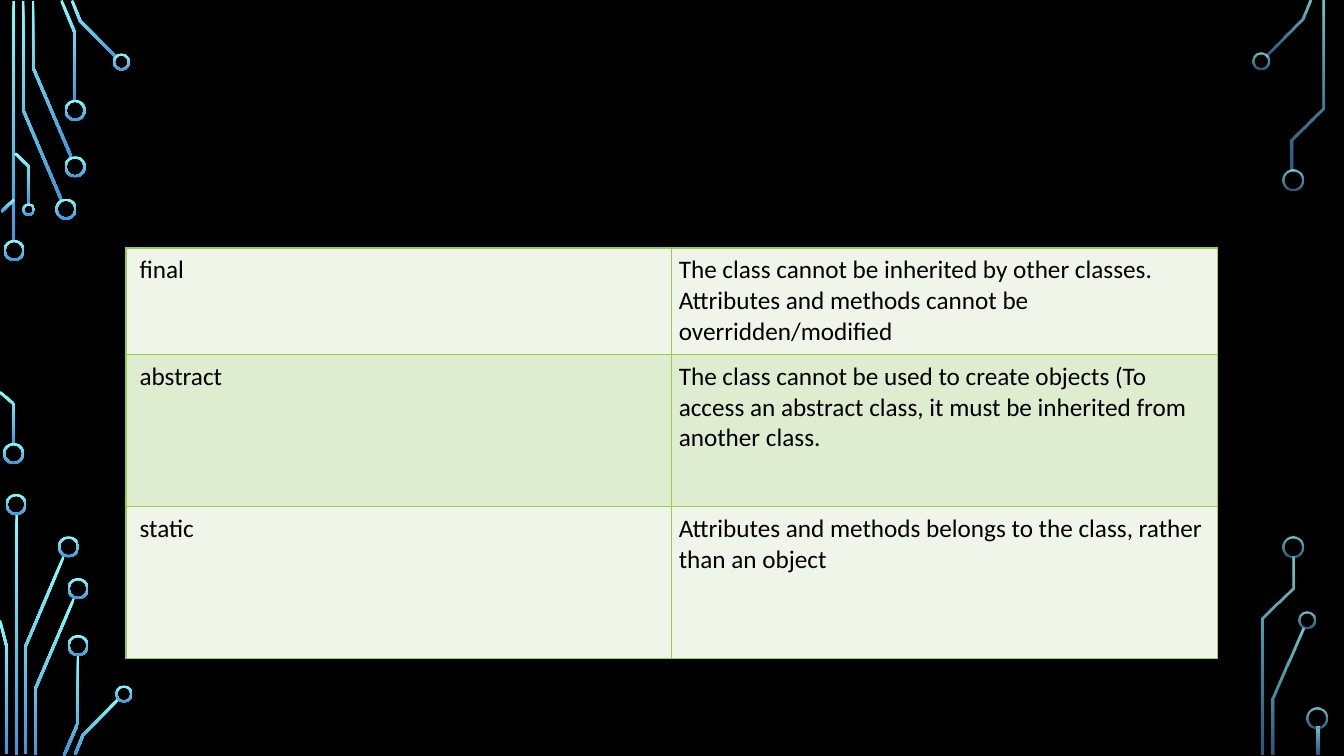
from math import hypot

from lxml.etree import SubElement
from pptx import Presentation
from pptx.dml.color import RGBColor
from pptx.enum.shapes import MSO_SHAPE
from pptx.oxml.ns import qn
from pptx.util import Pt

PX = 4572  # EMU per px, 200 px to the inch
SLIDE = (0, 0, 2667, 1500)
TABLE_BOX = (250, 492, 2166, 792)
TRACE_WIDTH = 5
RING_WIDTH = 4
COLORS = {
    "background": "000000", "text": "000000", "border": "9ACD4C",
    "band_light": "EFF6E9", "band_dark": "DEEDD0",
    "glow_top": "82FFFF", "glow_bottom": "3D97DE",
}
CELL_MARGINS = {"margin_right": 14, "margin_top": 14, "margin_bottom": 14}
TEXT_FORMAT = {"name": "Calibri", "size": Pt(18)}
ROW_HEIGHTS = (188, 302, 302)
MODIFIERS = [
    ("final", ["The class cannot be inherited by other classes.",
               "Attributes and methods cannot be overridden/modified"]),
    ("abstract", ["The class cannot be used to create objects (To access an abstract "
                  "class, it must be inherited from another class."]),
    ("static", ["Attributes and methods belongs to the class, rather than an object"]),
]

# Circuit traces are centre lines; rings are (centre x, centre y, diameter)
LEFT_TRACES = [
    [(27, 2), (27, 480)],
    [(46, 2), (46, 218), (122, 397)],
    [(65, 2), (65, 133), (142, 313)],
    [(122, 1), (149, 66), (149, 200)],
    [(143, 1), (159, 41), (231, 114)],
    [(3, 420), (28, 396)],
    [(0, 778), (28, 802), (28, 882)],
    [(30, 304), (58, 331), (58, 406)],
    [(33, 1020), (33, 1498)],
    [(51, 1496), (51, 1282), (127, 1103)],
    [(13, 1496), (13, 1282), (0, 1231)],
    [(71, 1498), (71, 1365), (147, 1187)],
    [(127, 1499), (155, 1434), (155, 1300)],
    [(149, 1497), (165, 1458), (236, 1386)],
]
LEFT_RINGS = [
    (28, 497, 42), (27, 900, 42), (131, 415, 42), (149, 331, 42), (149, 219, 42),
    (241, 123, 34), (57, 416, 25), (32, 1001, 42), (136, 1085, 42),
    (155, 1168, 42), (155, 1281, 42), (246, 1377, 34),
]
# Right side is measured from x = 2480
RIGHT_TRACES = [
    [(34, 111), (105, 39), (121, 1)],
    [(45, 1498), (45, 1387), (106, 1247)],
    [(84, 338), (84, 277), (145, 215), (145, 2)],
    [(25, 1498), (25, 1227), (87, 1167), (87, 1104)],
    [(135, 1442), (135, 1498)],
]
RIGHT_RINGS = [(23, 121, 34), (85, 357, 42), (113, 1231, 34), (86, 1085, 42), (133, 1424, 42)]
LEFT_BOX = (0, 0, 264, 1500)
RIGHT_BOX = (2480, 0, 187, 1500)


def rgb(name):
    return RGBColor.from_string(COLORS[name])


def emu(*lengths):
    return [round(length * PX) for length in lengths]


def style_glow(shape, alphas):
    shape.shadow.inherit = False
    shape.line.fill.background()
    shape.fill.gradient()
    shape.fill.gradient_angle = 270
    for stop, name, alpha in zip(shape.fill.gradient_stops, ("glow_top", "glow_bottom"), alphas):
        stop.color.rgb = rgb(name)
    for color, alpha in zip(shape.fill._xPr.iter(qn("a:srgbClr")), alphas):
        if alpha < 100:
            SubElement(color, qn("a:alpha"), val=str(alpha * 1000))


def trace_outline(points):
    """Widen a centre line into a closed outline with mitred corners."""
    normals = []
    for (x1, y1), (x2, y2) in zip(points, points[1:]):
        length = hypot(x2 - x1, y2 - y1)
        normals.append(((y1 - y2) / length, (x2 - x1) / length))
    sides = ([], [])
    for (x, y), (ax, ay), (bx, by) in zip(points, normals[:1] + normals, normals + normals[-1:]):
        reach = TRACE_WIDTH / 2 / (1 + ax * bx + ay * by)
        dx, dy = (ax + bx) * reach, (ay + by) * reach
        sides[0].append((x + dx, y + dy))
        sides[1].append((x - dx, y - dy))
    return sides[0] + sides[1][::-1]


def add_circuit(slide, box, traces, rings, alphas):
    left, top = box[:2]
    for trace in traces:
        outline = [emu(left + x, top + y) for x, y in trace_outline(trace)]
        builder = slide.shapes.build_freeform(*outline[0])
        builder.add_line_segments(outline[1:], close=True)
        style_glow(builder.convert_to_shape(), alphas)
    for x, y, size in rings:
        ring = slide.shapes.add_shape(
            MSO_SHAPE.DONUT, *emu(left + x - size / 2, top + y - size / 2, size, size))
        ring.adjustments[0] = RING_WIDTH / size
        style_glow(ring, alphas)


def format_cell(cell, lines, left_margin, band):
    for side, margin in {**CELL_MARGINS, "margin_left": left_margin}.items():
        setattr(cell, side, margin * PX)
    cell.text = "\n".join(lines)
    for paragraph in cell.text_frame.paragraphs:
        for attribute, value in TEXT_FORMAT.items():
            setattr(paragraph.font, attribute, value)
        paragraph.font.color.rgb = rgb("text")
    properties = cell._tc.get_or_add_tcPr()
    for edge in ("lnL", "lnR", "lnT", "lnB"):
        border = SubElement(properties, qn(f"a:{edge}"), w=str(Pt(1)))
        solid = SubElement(border, qn("a:solidFill"))
        SubElement(solid, qn("a:srgbClr"), val=COLORS["border"])
    cell.fill.solid()
    cell.fill.fore_color.rgb = rgb(band)


def add_modifier_table(slide, box):
    table = slide.shapes.add_table(len(MODIFIERS), 2, *emu(*box)).table
    table.first_row = table.horz_banding = False
    for column in table.columns:
        column.width = box[2] * PX // 2
    for index, (keyword, meaning) in enumerate(MODIFIERS):
        table.rows[index].height = ROW_HEIGHTS[index] * PX
        band = "band_dark" if index % 2 else "band_light"
        format_cell(table.cell(index, 0), [keyword], 27, band)
        format_cell(table.cell(index, 1), meaning, 14, band)


def build_modifier_slide(presentation):
    slide = presentation.slides.add_slide(presentation.slide_layouts[6])
    slide.background.fill.solid()
    slide.background.fill.fore_color.rgb = rgb("background")
    # Circuit decoration on both sides
    add_circuit(slide, LEFT_BOX, LEFT_TRACES, LEFT_RINGS, (100, 100))
    add_circuit(slide, RIGHT_BOX, RIGHT_TRACES, RIGHT_RINGS, (80, 60))
    # Keywords and their meaning
    add_modifier_table(slide, TABLE_BOX)


def main():
    presentation = Presentation()
    presentation.slide_width, presentation.slide_height = emu(*SLIDE[2:])
    build_modifier_slide(presentation)
    presentation.save("out.pptx")


if __name__ == "__main__":
    main()
